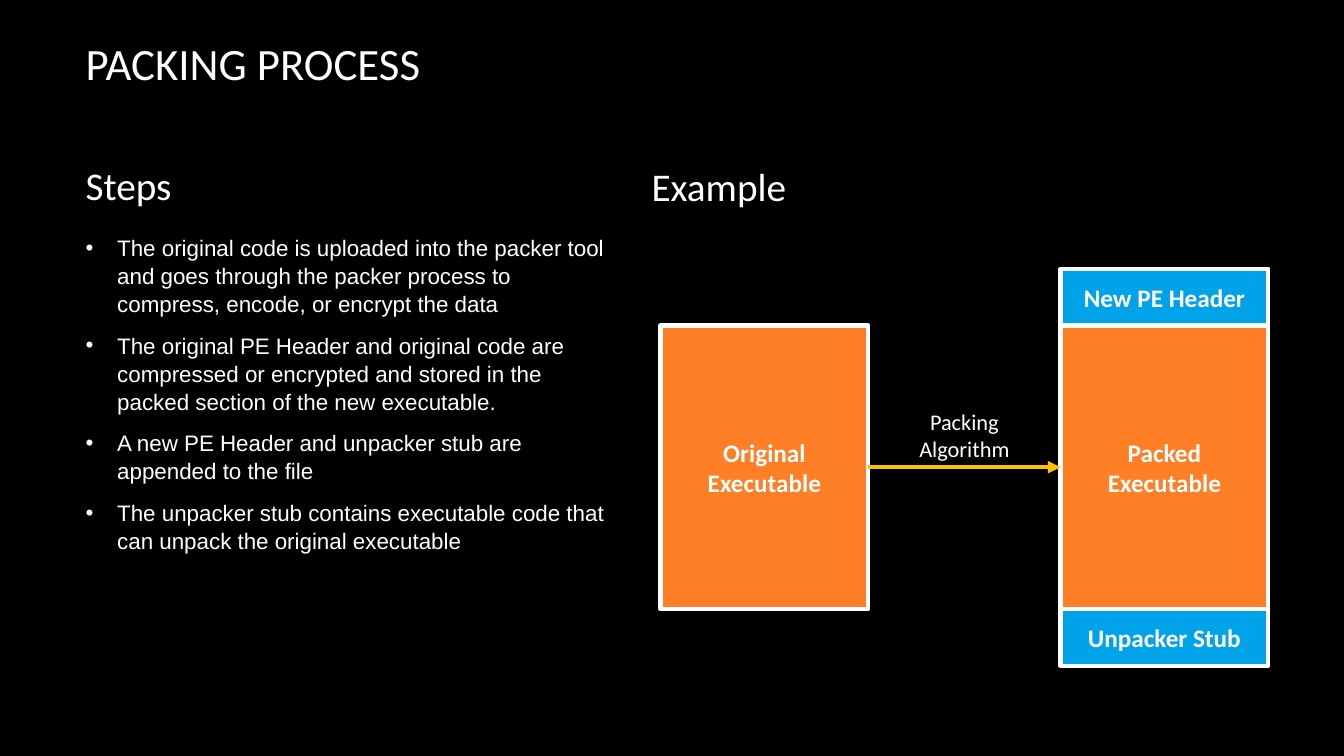
from lxml import etree
from pptx import Presentation
from pptx.dml.color import RGBColor
from pptx.enum.shapes import MSO_CONNECTOR, MSO_SHAPE
from pptx.enum.text import MSO_ANCHOR, MSO_AUTO_SIZE, PP_ALIGN
from pptx.oxml.ns import qn
from pptx.util import Pt

PX = 9525
LEFT, CENTER = PP_ALIGN.LEFT, PP_ALIGN.CENTER
TOP, MIDDLE, BOTTOM = MSO_ANCHOR.TOP, MSO_ANCHOR.MIDDLE, MSO_ANCHOR.BOTTOM
RECTANGLE, STRAIGHT = MSO_SHAPE.RECTANGLE, MSO_CONNECTOR.STRAIGHT
NO_AUTOFIT = MSO_AUTO_SIZE.NONE
COLORS = {
    "background": "000000",
    "text": "FFFFFF",
    "added": "00A2E8",
    "executable": "FF7F27",
    "arrow": "FFC000",
}
STEPS = [
    "The original code is uploaded into the packer tool and goes through the packer process to "
    "compress, encode, or encrypt the data",
    "The original PE Header and original code are compressed or encrypted and stored in the "
    "packed section of the new executable.",
    "A new PE Header and unpacker stub are appended to the file",
    "The unpacker stub contains executable code that can unpack the original executable",
]


def color(name):
    """Return the named colour."""
    return RGBColor.from_string(COLORS[name])


def emu(*lengths):
    """Turn px lengths into EMU."""
    return [length * PX for length in lengths]


def write(frame, lines, size, font="Calibri", bold=False, align=LEFT, anchor=MIDDLE, after=0):
    """Fill a text frame with one paragraph per line."""
    frame.word_wrap = True
    frame.auto_size = NO_AUTOFIT
    frame.vertical_anchor = anchor
    frame.text = "\n".join(lines)
    for paragraph in frame.paragraphs:
        paragraph.alignment = align
        paragraph.space_before = Pt(0)
        paragraph.space_after = Pt(after)
        paragraph.font.name = font
        paragraph.font.size = Pt(size)
        paragraph.font.bold = bold
        paragraph.font.color.rgb = color("text")


def place(placeholder, box):
    """Move a placeholder to its box and return its text frame."""
    placeholder.left, placeholder.top, placeholder.width, placeholder.height = emu(*box)
    return placeholder.text_frame


def add_heading(placeholder, box, heading):
    """Write a column heading."""
    write(place(placeholder, box), [heading], 28, anchor=BOTTOM, after=10)


def add_steps(placeholder, box):
    """Write the bulleted list of steps."""
    frame = place(placeholder, box)
    write(frame, STEPS, 16, font="Arial", anchor=TOP, after=10)
    for paragraph in frame.paragraphs:
        paragraph.line_spacing = 1.04
        properties = paragraph._p.get_or_add_pPr()
        properties.set("marL", str(30 * PX))
        properties.set("indent", str(-30 * PX))


def add_block(slide, box, lines, fill):
    """Draw one labelled part of a file."""
    block = slide.shapes.add_shape(RECTANGLE, *emu(*box))
    block.shadow.inherit = False
    block.fill.solid()
    block.fill.fore_color.rgb = color(fill)
    block.line.color.rgb = color("text")
    block.line.width = Pt(3)
    write(block.text_frame, lines, 18, bold=True, align=CENTER)


def add_arrow(slide, left, right, y):
    """Draw the packing arrow."""
    arrow = slide.shapes.add_connector(STRAIGHT, *emu(left, y, right, y))
    arrow.line.color.rgb = color("arrow")
    arrow.line.width = Pt(3)
    etree.SubElement(arrow.line._get_or_add_ln(), qn("a:tailEnd"), type="triangle")
    etree.SubElement(arrow._element.spPr, qn("a:effectLst"))


def add_example(slide, box):
    """Draw the original and the packed executable, joined by an arrow."""
    left, top, width, height = box
    block_width, part_height = 198, 54
    packed_left = left + width - block_width
    original_right = left + block_width
    core_top = top + part_height
    core_height = height - 2 * part_height
    middle = top + height // 2

    for y, part in ((top, "New PE Header"), (core_top + core_height, "Unpacker Stub")):
        add_block(slide, (packed_left, y, block_width, part_height), [part], "added")
    for x, state in ((packed_left, "Packed"), (left, "Original")):
        core = (x, core_top, block_width, core_height)
        add_block(slide, core, [state, "Executable"], "executable")

    add_arrow(slide, original_right, packed_left, middle)
    label_box = (original_right, middle - 61, packed_left - original_right, 61)
    label = slide.shapes.add_textbox(*emu(*label_box))
    write(label.text_frame, ["Packing", "Algorithm"], 16, align=CENTER, anchor=TOP)


def add_packing_slide(presentation):
    """Build the packing process slide."""
    slide = presentation.slides.add_slide(presentation.slide_layouts.get_by_name("Comparison"))
    slide.background.fill.solid()
    slide.background.fill.fore_color.rgb = color("background")
    title, steps_heading, steps, example_heading, unused = slide.placeholders
    unused._element.getparent().remove(unused._element)

    write(place(title, (72, 18, 1064, 84)), ["PACKING PROCESS"], 32)
    add_heading(steps_heading, (72, 143, 524, 60), "Steps")
    add_steps(steps, (72, 217, 524, 391))
    add_heading(example_heading, (611, 144, 524, 60), "Example")
    add_example(slide, (629, 256, 579, 378))


def main():
    """Save the presentation."""
    presentation = Presentation()
    presentation.slide_width, presentation.slide_height = emu(1280, 720)
    add_packing_slide(presentation)
    presentation.save("out.pptx")


if __name__ == "__main__":
    main()
